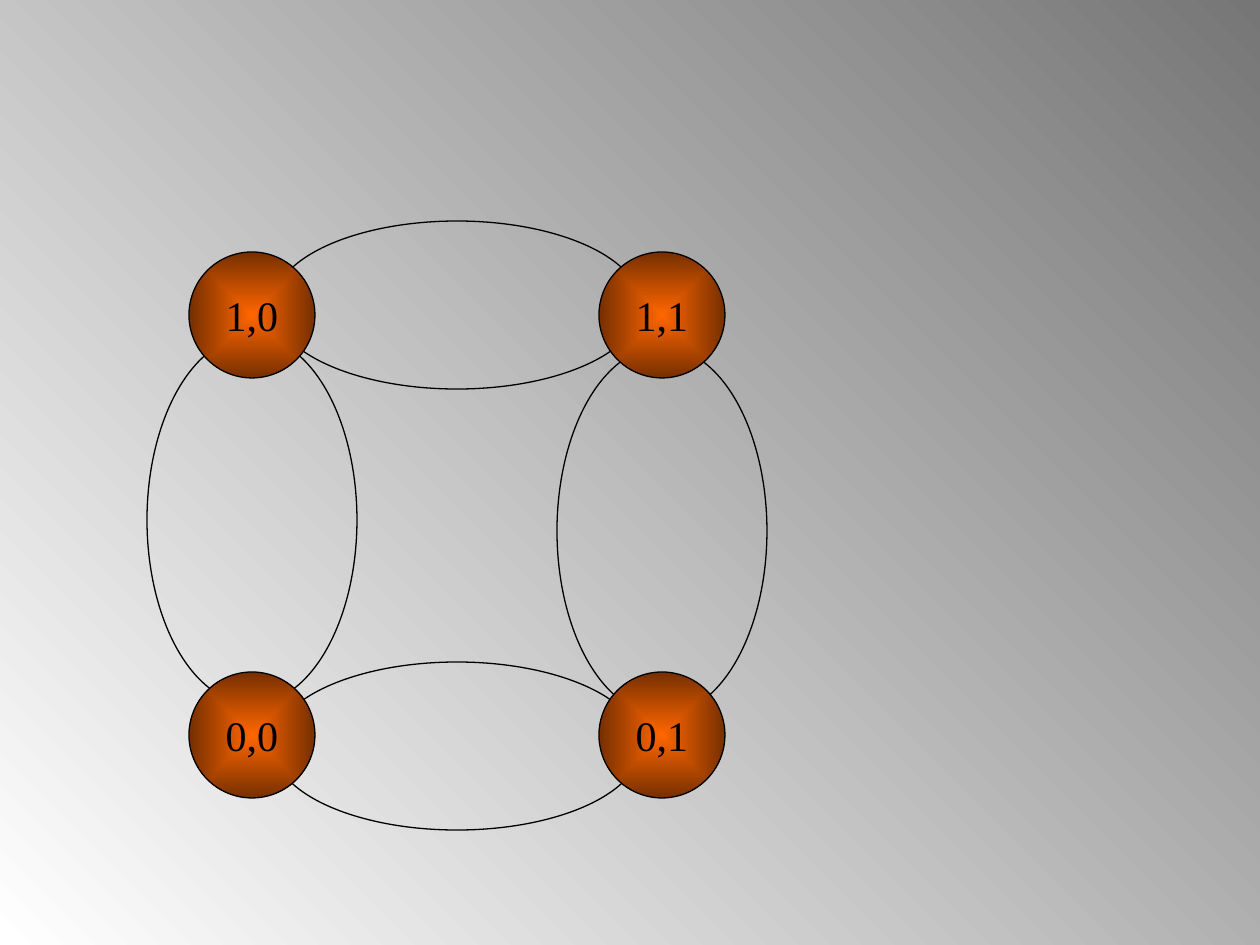
from lxml.etree import SubElement
from pptx import Presentation
from pptx.dml.color import RGBColor
from pptx.enum.shapes import MSO_SHAPE
from pptx.enum.text import MSO_ANCHOR, PP_ALIGN
from pptx.oxml.ns import qn
from pptx.util import Emu, Pt

PX_PER_INCH = 126
SLIDE_SIZE = (1260, 945)

BLACK = RGBColor(0x00, 0x00, 0x00)
GRAY = RGBColor(0x76, 0x76, 0x76)
WHITE = RGBColor(0xFF, 0xFF, 0xFF)
ORANGE = RGBColor(0xFF, 0x66, 0x00)
BROWN = RGBColor(0x76, 0x2F, 0x00)

LOOP_LENGTH = 368
# left, top, width, rotation
LOOPS = [
    (373, 562, 168, 270),
    (373, 121, 168, 270),
    (147, 336, 210, 0),
    (557, 347, 210, 0),
]

NODE_SIZE = 126
ROW_TOPS = [672, 252]
COLUMN_LEFTS = [189, 599]
LABEL_FONT = {"name": "Times New Roman", "size": Pt(24)}


def px(value):
    return Emu(round(value * 914400 / PX_PER_INCH))


def set_gradient(fill, colors):
    fill.gradient()
    for stop, color in zip(fill.gradient_stops, colors):
        stop.color.rgb = color


def make_gradient_rectangular(shape):
    """Let the gradient spread from the centre of the shape."""
    gradient = shape.element.spPr.find(qn("a:gradFill"))
    gradient.remove(gradient.find(qn("a:lin")))
    spread = SubElement(gradient, qn("a:path"), {"path": "rect"})
    center = dict.fromkeys("ltrb", "50000")
    SubElement(spread, qn("a:fillToRect"), center)


def add_ellipse(slide, left, top, width, height):
    shape = slide.shapes.add_shape(
        MSO_SHAPE.OVAL, px(left), px(top), px(width), px(height))
    shape.shadow.inherit = False
    shape.line.color.rgb = BLACK
    shape.line.width = Pt(0.75)
    return shape


def add_loop(slide, left, top, width, rotation):
    loop = add_ellipse(slide, left, top, width, LOOP_LENGTH)
    loop.fill.background()
    loop.rotation = rotation


def add_node(slide, left, top, label):
    node = add_ellipse(slide, left, top, NODE_SIZE, NODE_SIZE)
    set_gradient(node.fill, [ORANGE, BROWN])
    make_gradient_rectangular(node)
    frame = node.text_frame
    frame.word_wrap = False
    frame.vertical_anchor = MSO_ANCHOR.MIDDLE
    paragraph = frame.paragraphs[0]
    paragraph.alignment = PP_ALIGN.CENTER
    run = paragraph.add_run()
    run.text = label
    for name, value in LABEL_FONT.items():
        setattr(run.font, name, value)
    run.font.color.rgb = BLACK


def main():
    presentation = Presentation()
    presentation.slide_width, presentation.slide_height = map(px, SLIDE_SIZE)
    slide = presentation.slides.add_slide(presentation.slide_layouts[6])

    background = slide.background.fill
    set_gradient(background, [GRAY, WHITE])
    background.gradient_angle = 225  # counter-clockwise: top right to bottom left

    for loop in LOOPS:
        add_loop(slide, *loop)
    for row, top in enumerate(ROW_TOPS):
        for column, left in enumerate(COLUMN_LEFTS):
            add_node(slide, left, top, f"{row},{column}")

    presentation.save("out.pptx")


if __name__ == "__main__":
    main()
